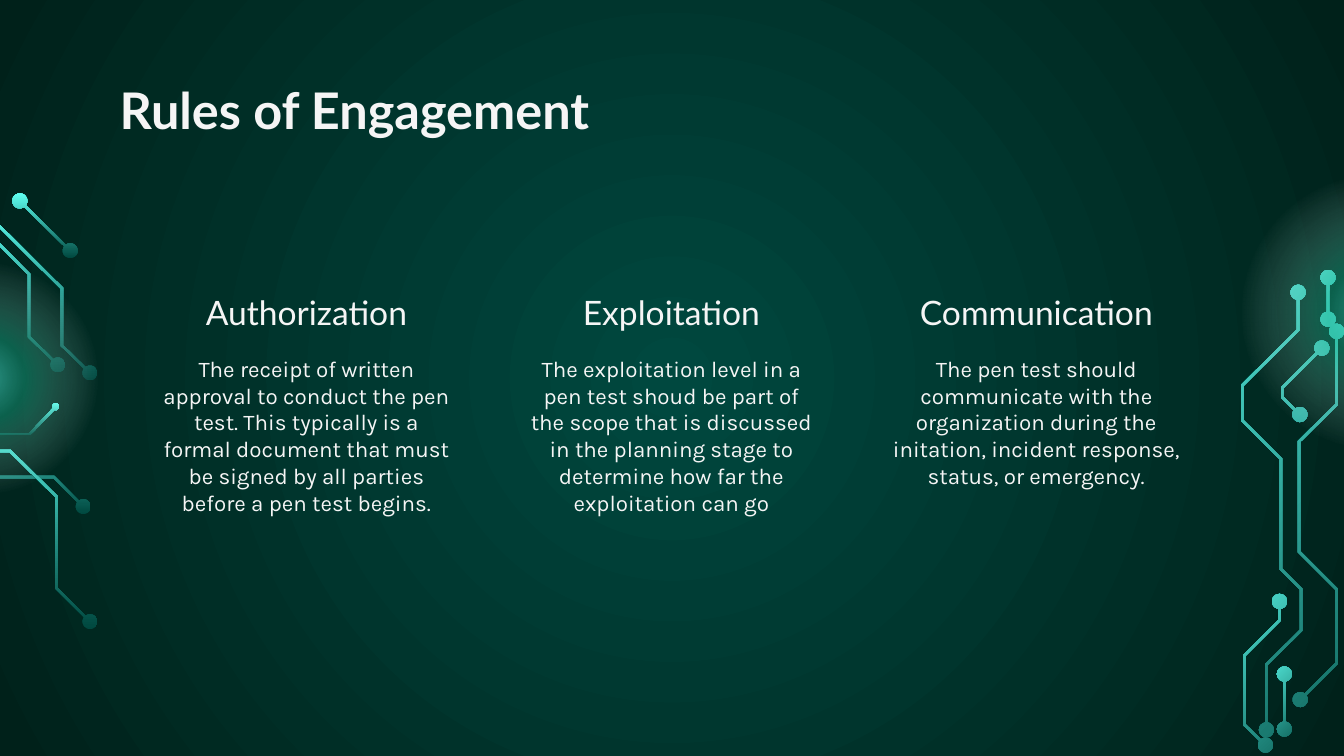
"""Build the "Rules of Engagement" slide with glowing circuit traces."""
from dataclasses import dataclass
from math import cos, radians, sin, tau

from lxml.etree import SubElement
from pptx import Presentation
from pptx.dml.color import RGBColor
from pptx.enum.shapes import MSO_SHAPE
from pptx.enum.text import MSO_ANCHOR, MSO_AUTO_SIZE, PP_ALIGN
from pptx.oxml import parse_xml
from pptx.oxml.ns import nsdecls, qn
from pptx.slide import Slide
from pptx.util import Pt

COLORS = {"teal": "00483F", "night": "00211A", "cyan": "5FFFF1",
          "green": "21C79D", "white": "FFFFFF", "text": "F5F5F5"}
TRACE_WIDTH = 1.3
DOT = 4
SMALL_DOT = 1.9
DOT_SIDES = 24


@dataclass
class Branch:
    points: list[tuple[float, float]]
    start_dot: float = DOT
    end_dot: float = DOT


@dataclass
class Trace:
    rotation: int
    branches: list[Branch]


@dataclass
class Glow:
    left: float
    top: float
    size: float


@dataclass
class TextStyle:
    font: str
    size: float
    bold: bool = False
    alignment: PP_ALIGN = PP_ALIGN.CENTER
    anchor: MSO_ANCHOR = MSO_ANCHOR.TOP


@dataclass
class Column:
    heading: str
    body: str


TITLE = TextStyle("Lato", 27, bold=True, alignment=PP_ALIGN.LEFT)
HEADING = TextStyle("Lato", 18, anchor=MSO_ANCHOR.BOTTOM)
BODY = TextStyle("Karla", 12)

COLUMNS = [
    Column("Authorization", "The receipt of written approval to conduct the pen test. This typically "
           "is a formal document that must be signed by all parties before a pen test begins."),
    Column("Exploitation", "The exploitation level in a pen test shoud be part of the scope that is "
           "discussed in the planning stage to determine how far the exploitation can go"),
    Column("Communication", "The pen test should communicate with the organization during the "
           "initation, incident response, status, or emergency."),
]

EDGE_TRACES = [
    Trace(180, [Branch([(-58.3, 217.5), (-58.3, 226.8), (-29.5, 255.6), (28.8, 255.6),
                        (44.6, 271.4)], start_dot=0)]),
    Trace(180, [Branch([(-37.8, 111.8), (-9.7, 111.8), (33.1, 154.4), (33.1, 185), (48.2, 199.8)])]),
    Trace(180, [Branch([(-76.3, 216.7), (-76.3, 219.2), (-54, 241.6), (5.4, 241.6), (30.2, 266),
                        (30.2, 315), (48.2, 333)], start_dot=0)]),
    Trace(180, [Branch([(-14.8, 116.3), (15.5, 146.9), (15.5, 180.4), (31, 195.5)])]),
    Trace(180, [Branch([(-41, 225.4), (-33.5, 232.6), (15.8, 232.6), (29.9, 217.8)],
                       start_dot=0, end_dot=SMALL_DOT)]),
    Trace(180, [Branch([(10.6, 107.6), (37.6, 134.3)])]),
    Trace(135, [
        Branch([(716, 177.5), (716, 216.7), (695.9, 236.5), (695.9, 295.6), (716, 315.7),
                (716, 355.3), (696.5, 374.8)]),
        Branch([(711.4, 148.7), (711.4, 171)]),
        Branch([(708.1, 186.5), (686.9, 207.7), (686.9, 212.8), (696.3, 222.1)]),
    ]),
    Trace(135, [Branch([(695.4, 156.6), (695.4, 176.8), (665.6, 206.3), (665.6, 225.4),
                        (686.2, 245.9), (686.2, 304.9), (697, 315.7), (697, 337.7),
                        (678.4, 356), (678.4, 391)])]),
]
CORNER_TRACES = [
    Trace(135, [Branch([(688, 361.1), (688, 390.6)])]),
    Trace(135, [Branch([(685.4, 322.2), (685.4, 332.3), (666.7, 351), (666.7, 388.4),
                        (677.9, 399.2)])]),
]
GLOWS = [Glow(-80.6, 131.8, 141.8), Glow(654.5, 82.8, 168.5)]


def set_radial_fill(element, stops: list[tuple[int, str, int]]) -> None:
    """Replace the first solid fill by a circular gradient of (position, color, opacity)."""
    stop_xml = "".join(
        f'<a:gs pos="{position * 1000}"><a:srgbClr val="{COLORS[color]}">'
        f'<a:alpha val="{opacity * 1000}"/></a:srgbClr></a:gs>'
        for position, color, opacity in stops)
    gradient = parse_xml(
        f'<a:gradFill {nsdecls("a")} rotWithShape="1"><a:gsLst>{stop_xml}</a:gsLst>'
        '<a:path path="circle"><a:fillToRect l="50000" t="50000" r="50000" b="50000"/>'
        '</a:path></a:gradFill>')
    solid = next(element.iter(qn("a:solidFill")))
    solid.getparent().replace(solid, gradient)


def ribbon(points: list[complex], start_dot: float, end_dot: float) -> list[complex]:
    """Return the outline of a mitred line that stops at its end dots."""
    directions = [(b - a) / abs(b - a) for a, b in zip(points, points[1:])]
    line = [points[0] + directions[0] * start_dot, *points[1:-1], points[-1] - directions[-1] * end_dot]
    offsets = []
    for before, after in zip([directions[0], *directions], [*directions, directions[-1]]):
        bisector = before + after
        offsets.append(1j * bisector / abs(bisector) ** 2 * TRACE_WIDTH)
    left = [point + offset for point, offset in zip(line, offsets)]
    right = [point - offset for point, offset in zip(line, offsets)]
    return left + right[::-1]


def dot(center: complex, radius: float) -> list[complex]:
    """Return the outline of a round end dot."""
    angles = [tau * side / DOT_SIDES for side in range(DOT_SIDES)]
    return [center + radius * complex(cos(angle), sin(angle)) for angle in angles]


def draw_trace(slide: Slide, trace: Trace) -> None:
    """Draw all branches of a trace as one rotated, gradient-filled outline."""
    angle = radians(trace.rotation)
    turn = complex(cos(angle), sin(angle))
    contours = []
    for branch in trace.branches:
        points = [complex(*point) / turn for point in branch.points]
        contours.append(ribbon(points, branch.start_dot, branch.end_dot))
        for center, radius in ((points[0], branch.start_dot), (points[-1], branch.end_dot)):
            if radius:
                contours.append(dot(center, radius))
    outlines = [[(Pt(point.real), Pt(point.imag)) for point in contour] for contour in contours]
    builder = slide.shapes.build_freeform(*outlines[0][0])
    builder.add_line_segments(outlines[0][1:])
    for outline in outlines[1:]:
        builder.move_to(*outline[0])
        builder.add_line_segments(outline[1:])
    shape = builder.convert_to_shape()
    center = complex(shape.left + shape.width / 2, shape.top + shape.height / 2) * turn
    shape.left = round(center.real - shape.width / 2)
    shape.top = round(center.imag - shape.height / 2)
    shape.rotation = trace.rotation
    shape.shadow.inherit = False
    shape.line.fill.background()
    shape.fill.gradient()
    shape.fill.gradient_angle = 270
    for stop, color in zip(shape.fill.gradient_stops, ("teal", "cyan")):
        stop.color.rgb = RGBColor.from_string(COLORS[color])


def draw_glow(slide: Slide, glow: Glow) -> None:
    """Draw a soft round light."""
    shape = slide.shapes.add_shape(
        MSO_SHAPE.OVAL, Pt(glow.left), Pt(glow.top), Pt(glow.size), Pt(glow.size))
    shape.shadow.inherit = False
    shape.line.fill.background()
    shape.fill.solid()
    set_radial_fill(shape.fill._xPr, [(0, "cyan", 55), (23, "green", 37), (62, "white", 0), (100, "white", 0)])


def write_text(shape, text: str, style: TextStyle, box: tuple[float, float, float, float]) -> None:
    """Place a text shape and give it one formatted paragraph."""
    shape.left, shape.top, shape.width, shape.height = map(Pt, box)
    frame = shape.text_frame
    frame.text = text
    frame.word_wrap = True
    frame.auto_size = MSO_AUTO_SIZE.NONE
    frame.vertical_anchor = style.anchor
    frame.margin_left = frame.margin_right = frame.margin_top = frame.margin_bottom = Pt(7.2)
    paragraph = frame.paragraphs[0]
    paragraph.alignment = style.alignment
    paragraph.space_before = Pt(0)
    properties = paragraph._p.get_or_add_pPr()
    properties.set("marL", "0")
    properties.set("indent", "0")
    SubElement(properties, qn("a:buNone"))
    font = paragraph.font
    font.name, font.size, font.bold = style.font, Pt(style.size), style.bold
    font.color.rgb = RGBColor.from_string(COLORS["text"])


def main() -> None:
    """Build and save the slide."""
    presentation = Presentation()
    presentation.slide_width, presentation.slide_height = Pt(720), Pt(405)
    slide = presentation.slides.add_slide(presentation.slide_layouts.get_by_name("Comparison"))
    slide.background.fill.solid()
    set_radial_fill(slide._element, [(0, "teal", 100), (100, "night", 100)])

    title, *text_shapes = slide.placeholders
    text_shapes += [slide.shapes.add_textbox(0, 0, 0, 0) for _ in range(2)]
    write_text(title, "Rules of Engagement", TITLE, (56.9, 35.3, 607, 45.4))
    for index, column in enumerate(COLUMNS):
        left = 78.5 + 195.5 * index
        heading, body = text_shapes[2 * index:2 * index + 2]
        write_text(heading, column.heading, HEADING, (left, 123.8, 171.4, 61.2))
        write_text(body, column.body, BODY, (left, 182.9, 171.4, 148.3))

    for trace in EDGE_TRACES:
        draw_trace(slide, trace)
    for glow in GLOWS:
        draw_glow(slide, glow)
    for trace in CORNER_TRACES:
        draw_trace(slide, trace)
    presentation.save("out.pptx")


if __name__ == "__main__":
    main()
